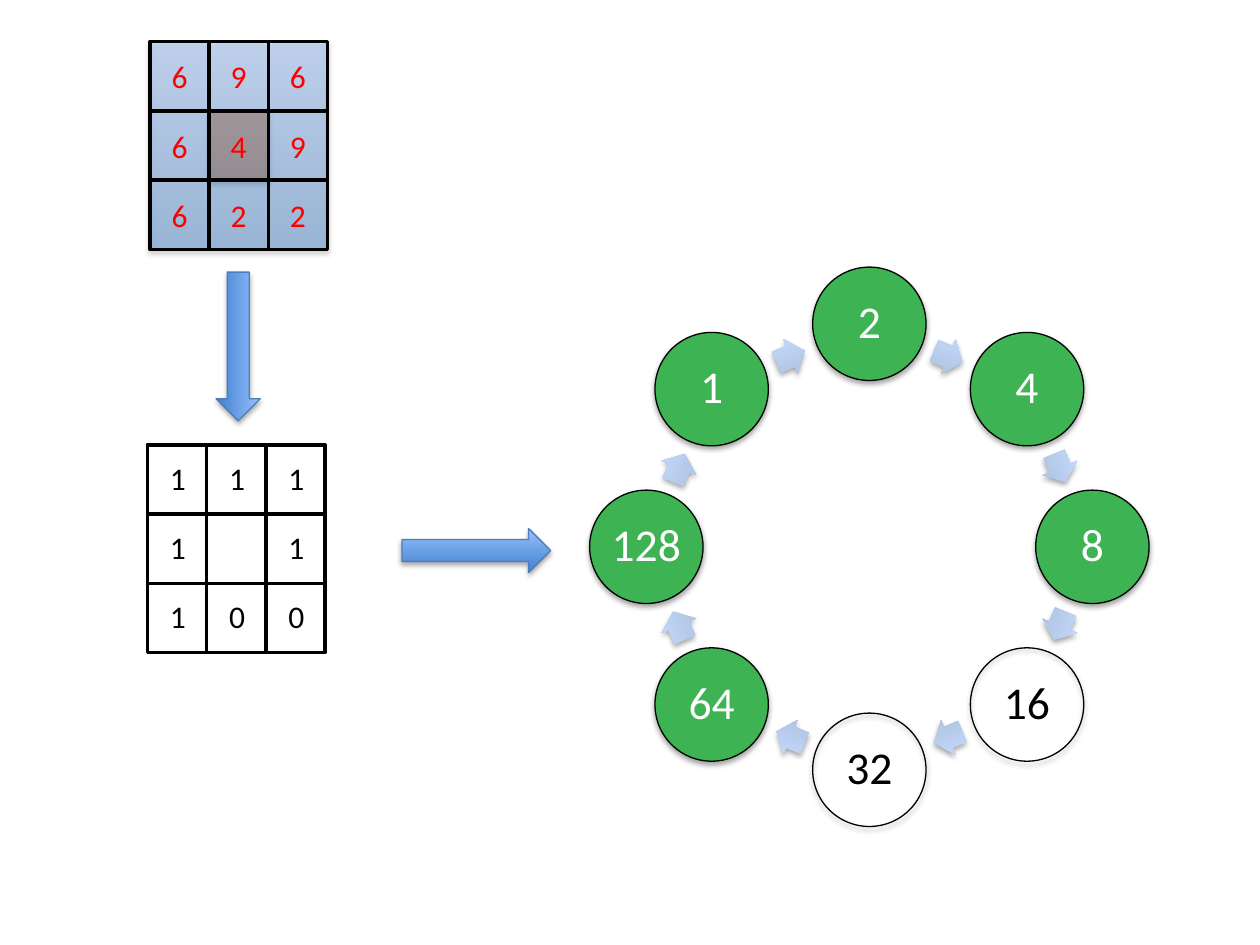
from math import cos, radians, sin

from lxml import etree
from pptx import Presentation
from pptx.dml.color import RGBColor
from pptx.enum import shapes, text
from pptx.oxml.ns import qn
from pptx.util import Inches, Pt

# Content, row by row and clockwise from the top
PIXELS = ["696", "649", "622"]
BITS = ["111", "1 1", "100"]
WEIGHTS = [("2", True), ("4", True), ("8", True), ("16", False),
           ("32", False), ("64", True), ("128", True), ("1", True)]

COLORS = {"black": "000000", "white": "FFFFFF", "red": "FF0000", "green": "3DB353",
          "orange": "E36C09", "edge": "4A7DBA"}
BLUE = ("3E7FCD", "96C0FF")
PALE_BLUE = ("ABBEDC", "C7DDFF")
CELL_W, CELL_H = 0.47, 0.55
PIXELS_AT, BITS_AT = (1.19, 0.33), (1.17, 3.53)
RING_X, RING_Y, RING_R = 6.9, 4.34, 1.77
CIRCLE, LABEL = 0.9, 0.64
FORMS = shapes.MSO_SHAPE

prs = Presentation()
prs.slide_width, prs.slide_height = Inches(10), Inches(7.5)
slide = prs.slides.add_slide(prs.slide_layouts[6])


def rgb(name):
    return RGBColor.from_string(COLORS[name])


def add_color(parent, value, alpha=100):
    color = etree.SubElement(parent, qn("a:srgbClr"), val=value)
    if alpha < 100:
        etree.SubElement(color, qn("a:alpha"), val=str(alpha * 1000))


def add_shadow(shape):
    shape.shadow.inherit = False
    effects = shape._element.spPr.find(qn("a:effectLst"))
    shadow = etree.SubElement(effects, qn("a:outerShdw"), blurRad=str(Pt(3.1)),
                              dist=str(Pt(1.8)), dir="5400000", rotWithShape="0")
    add_color(shadow, COLORS["black"], 35)


def set_gradient(shape, ends, alpha=100):
    shape.fill.gradient()
    gradient = shape._element.spPr.find(qn("a:gradFill"))
    for child in list(gradient):
        gradient.remove(child)
    stops = etree.SubElement(gradient, qn("a:gsLst"))
    for position, value in zip(("0", "100000"), ends):
        add_color(etree.SubElement(stops, qn("a:gs"), pos=position), value, alpha)
    etree.SubElement(gradient, qn("a:lin"), ang="16200000", scaled="0")


def add_form(form, x, y, w, h, fill=None, line=None, width=0.75, shadow=True):
    shape = slide.shapes.add_shape(form, Inches(x), Inches(y), Inches(w), Inches(h))
    if fill:
        shape.fill.solid()
        shape.fill.fore_color.rgb = rgb(fill)
    else:
        shape.fill.background()
    if line:
        shape.line.color.rgb = rgb(line)
        shape.line.width = Pt(width)
    else:
        shape.line.fill.background()
    if shadow:
        add_shadow(shape)
    else:
        shape.shadow.inherit = False
    return shape


def add_arrow(cx, cy, w, h, rotation, ends, line=None, shaft=0.5):
    arrow = add_form(FORMS.RIGHT_ARROW, cx - w / 2, cy - h / 2, w, h, line=line)
    arrow.adjustments[0] = shaft
    arrow.rotation = rotation
    set_gradient(arrow, ends)


def write(shape, words, size, color, centred=True):
    frame = shape.text_frame
    frame.word_wrap = True
    frame.text = words
    paragraph = frame.paragraphs[0]
    paragraph.font.name = "Calibri"
    paragraph.font.size = Pt(size)
    paragraph.font.color.rgb = rgb(color)
    paragraph.alignment = text.PP_ALIGN.CENTER if centred else text.PP_ALIGN.LEFT
    frame.vertical_anchor = text.MSO_ANCHOR.MIDDLE if centred else text.MSO_ANCHOR.TOP
    return frame


def add_textbox(x, y, w, h):
    return slide.shapes.add_textbox(Inches(x), Inches(y), Inches(w), Inches(h))


def grid_cells(rows, origin):
    for r, row in enumerate(rows):
        for c, value in enumerate(row):
            yield value, origin[0] + c * CELL_W, origin[1] + r * CELL_H


def add_cell(x, y):
    return add_form(FORMS.RECTANGLE, x, y, CELL_W, CELL_H, line="black", width=2, shadow=False)


def ring_point(angle, radius):
    return RING_X + radius * sin(radians(angle)), RING_Y - radius * cos(radians(angle))


# Thresholded bits
for _, x, y in grid_cells(BITS, BITS_AT):
    add_cell(x, y)
for bit, x, y in grid_cells(BITS, BITS_AT):
    if bit.strip():
        write(add_textbox(x + 0.08, y + 0.06, 0.33, 0.4), bit, 18, "black", centred=False)

# Ring of weights, with an arrow halfway to each next one
step = 360 / len(WEIGHTS)
for i, (weight, is_set) in enumerate(WEIGHTS):
    cx, cy = ring_point(i * step, RING_R)
    add_form(FORMS.OVAL, cx - CIRCLE / 2, cy - CIRCLE / 2, CIRCLE, CIRCLE,
             fill="green" if is_set else None, line="black")
    label = write(add_textbox(cx - LABEL / 2, cy - LABEL / 2, LABEL, LABEL),
                  weight, 26, "white" if is_set else "black")
    label.margin_left = label.margin_right = Inches(0.04)
    label.margin_top = label.margin_bottom = Inches(0.04)
    label.paragraphs[0].line_spacing = 0.9
    halfway = (i + 0.5) * step
    ax, ay = ring_point(halfway, RING_R * cos(radians(step / 2)))
    add_arrow(ax, ay, 0.24, 0.3, halfway, PALE_BLUE, shaft=0.6)

# Arrows between the stages
add_arrow(3.78, 4.37, 1.18, 0.35, 0, BLUE, "edge")
add_arrow(1.89, 2.75, 1.18, 0.35, 90, BLUE, "edge")

# Pixel values, with the centre pixel marked under a blue tint
left, top = PIXELS_AT
centre = add_form(FORMS.RECTANGLE, left + CELL_W, top + CELL_H, CELL_W, CELL_H, "orange", "edge")
add_alpha = centre._element.spPr.find(qn("a:solidFill")).find(qn("a:srgbClr"))
etree.SubElement(add_alpha, qn("a:alpha"), val="50000")
tint = add_form(FORMS.RECTANGLE, left, top, 3 * CELL_W, 3 * CELL_H, line="edge")
set_gradient(tint, BLUE, 41)
for value, x, y in grid_cells(PIXELS, PIXELS_AT):
    write(add_cell(x, y), value, 18, "red")

prs.save("out.pptx")
